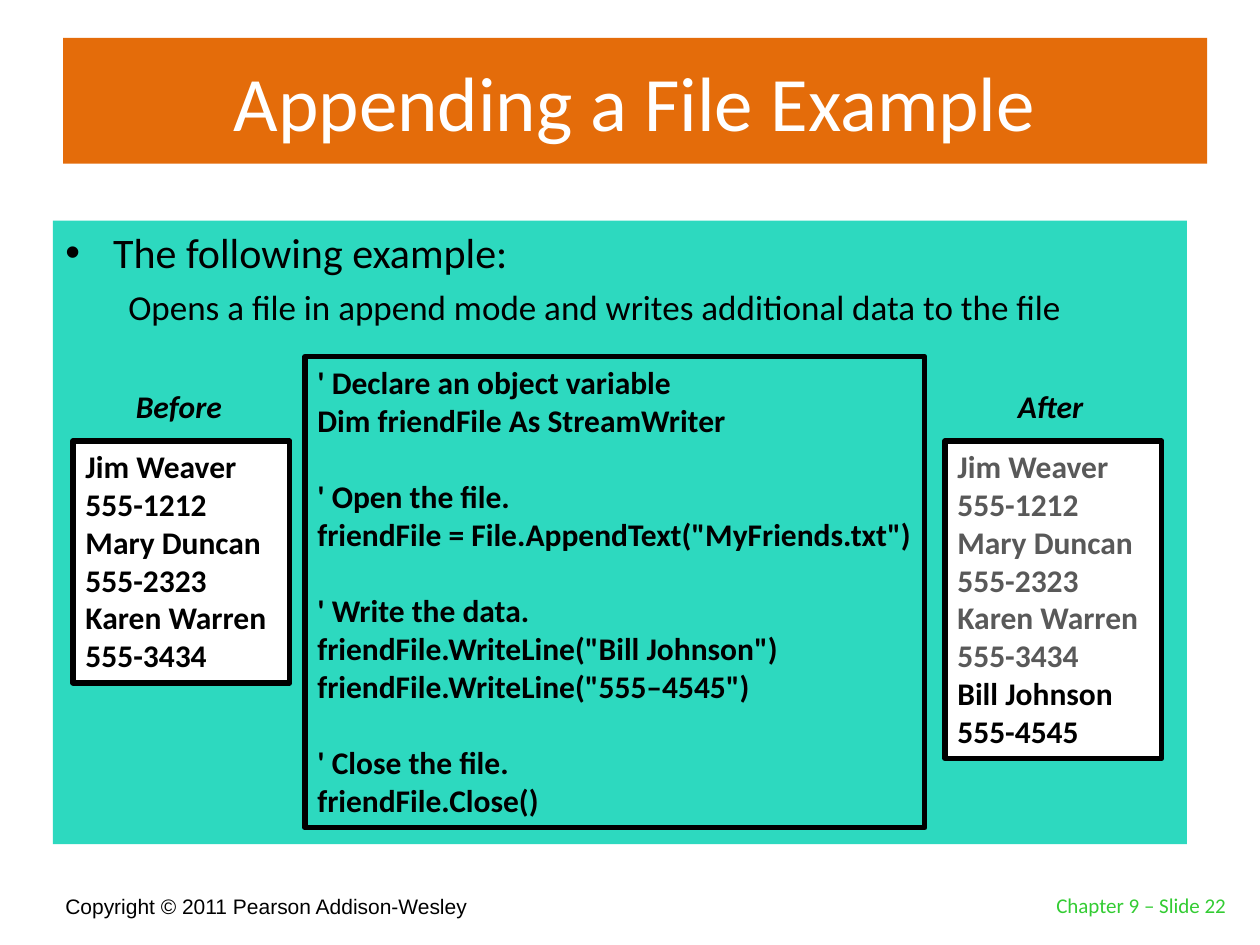
from pptx import Presentation
from pptx.dml.color import RGBColor
from pptx.enum.shapes import MSO_SHAPE
from pptx.enum.text import MSO_ANCHOR, PP_ALIGN
from pptx.oxml.ns import qn
from pptx.util import Inches, Pt
from lxml import etree

ORANGE = RGBColor(0xE4, 0x6C, 0x0A)
TEAL = RGBColor(0x2D, 0xD9, 0xBF)
GREEN = RGBColor(0x33, 0xCC, 0x33)
GRAY = RGBColor(0x59, 0x59, 0x59)
WHITE = RGBColor(0xFF, 0xFF, 0xFF)
BLACK = RGBColor(0, 0, 0)

LINE = 22  # points taken by one 18 pt line

OLD_FRIENDS = ["Jim Weaver", "555-1212", "Mary Duncan", "555-2323",
               "Karen Warren", "555-3434"]
NEW_FRIEND = ["Bill Johnson", "555-4545"]
CODE_BLOCKS = [
    ["' Declare an object variable", "Dim friendFile As StreamWriter"],
    ["' Open the file.", 'friendFile = File.AppendText("MyFriends.txt")'],
    ["' Write the data.", 'friendFile.WriteLine("Bill Johnson")',
     'friendFile.WriteLine("555–4545")'],
    ["' Close the file.", "friendFile.Close()"],
]


def add_box(s, box, fill=None, line=None, anchor=MSO_ANCHOR.TOP):
    """Rectangle with optional fill and border; returns its text frame."""
    sp = s.shapes.add_shape(MSO_SHAPE.RECTANGLE, *map(Inches, box))
    sp.shadow.inherit = False
    if fill is None:
        sp.fill.background()
    else:
        sp.fill.solid()
        sp.fill.fore_color.rgb = fill
    if line is None:
        sp.line.fill.background()
    else:
        sp.line.color.rgb = line
        sp.line.width = Pt(3)
    return set_frame(sp, anchor)


def add_label(s, box, anchor=MSO_ANCHOR.TOP, wrap=True):
    return set_frame(s.shapes.add_textbox(*map(Inches, box)), anchor, wrap)


def set_frame(sp, anchor, wrap=True):
    tf = sp.text_frame
    tf.word_wrap = wrap
    tf.vertical_anchor = anchor
    return tf


def add_line(tf, text, size, color=BLACK, bold=False, italic=False,
             font="Calibri", align=PP_ALIGN.LEFT, before=0):
    """Write one paragraph, using the frame's empty first one if free."""
    p = tf.paragraphs[0]
    if p.runs:
        p = tf.add_paragraph()
    p.alignment = align
    p.space_before = Pt(before)
    r = p.add_run()
    r.text = text
    r.font.name = font
    r.font.size = Pt(size)
    r.font.bold = bold
    r.font.italic = italic
    r.font.color.rgb = color
    return p


def set_indent(p, left, first, bullet=None):
    pPr = p._p.get_or_add_pPr()
    pPr.set("marL", str(Inches(left)))
    pPr.set("indent", str(Inches(first)))
    if bullet:
        etree.SubElement(pPr, qn("a:buFont")).set("typeface", "Arial")
        etree.SubElement(pPr, qn("a:buChar")).set("char", bullet)


def add_title(s, box):
    tf = add_box(s, box, ORANGE, anchor=MSO_ANCHOR.MIDDLE)
    add_line(tf, "Appending a File Example", 44, WHITE,
             align=PP_ALIGN.CENTER)


def add_file(s, box, heading, indent, width, groups):
    """File contents in a white box with its heading above."""
    x, y, w, h = box
    tf = add_box(s, box, WHITE, BLACK)
    for lines, color in groups:
        for text in lines:
            add_line(tf, text, 18, color, bold=True)
    tf = add_label(s, (x + indent, y - 0.48, width, 0.4), wrap=False)
    add_line(tf, heading, 18, bold=True, italic=True)


def add_code(s, box):
    tf = add_box(s, box, line=BLACK)
    for b, block in enumerate(CODE_BLOCKS):
        for i, text in enumerate(block):
            gap = LINE if b and i == 0 else 0
            add_line(tf, text, 18, bold=True, before=gap)


def add_body(s, box):
    x, y, w, h = box
    tf = add_box(s, box, TEAL)
    p = add_line(tf, "The following example:", 24)
    set_indent(p, 0.38, -0.38, "•")
    p = add_line(tf, "Opens a file in append mode and writes additional "
                     "data to the file", 20, before=5)
    p.level = 1
    set_indent(p, 0.81, -0.31)

    # Before, code, after
    file_y, file_w = y + 1.75, 1.72
    add_file(s, (x + 0.16, file_y, file_w, 1.92), "Before", 0.4, 0.92,
             [(OLD_FRIENDS, BLACK)])
    add_code(s, (x + 2, y + 1.08, 4.92, 3.74))
    add_file(s, (x + 7.08, file_y, file_w, 2.52), "After", 0.48, 0.76,
             [(OLD_FRIENDS, GRAY), (NEW_FRIEND, BLACK)])


def add_footer(s, box):
    x, y, w, h = box
    tf = add_label(s, (x, y + 0.09, 6.08, 0.42), MSO_ANCHOR.BOTTOM)
    add_line(tf, "Copyright © 2011 Pearson Addison-Wesley", 12, font="Arial")
    number_w = 2.08
    tf = add_label(s, (x + w - number_w, y, number_w, h), MSO_ANCHOR.BOTTOM)
    add_line(tf, "Chapter 9 – Slide 22", 12, GREEN, align=PP_ALIGN.RIGHT)


def main():
    prs = Presentation()
    prs.slide_width, prs.slide_height = Inches(10), Inches(7.5)
    s = prs.slides.add_slide(prs.slide_layouts[6])
    add_title(s, (0.5, 0.3, 9.08, 1))
    add_body(s, (0.42, 1.75, 9, 4.95))
    add_footer(s, (0.42, 6.83, 9.41, 0.5))
    prs.save("out.pptx")


if __name__ == "__main__":
    main()
